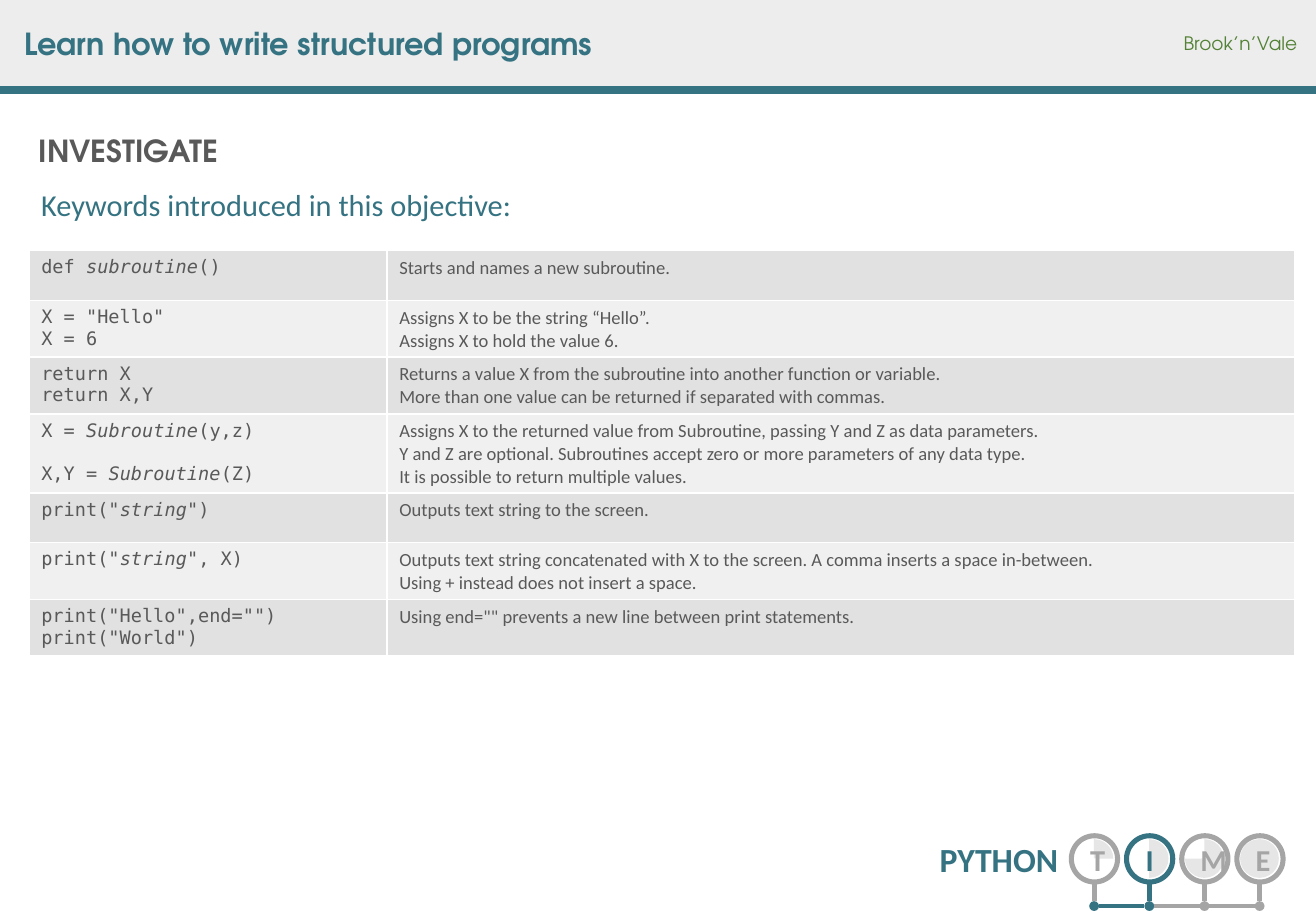
from dataclasses import dataclass

from lxml import etree
from pptx import Presentation
from pptx.dml.color import RGBColor
from pptx.enum.shapes import MSO_CONNECTOR, MSO_SHAPE
from pptx.enum.text import MSO_ANCHOR, MSO_AUTO_SIZE, PP_ALIGN
from pptx.oxml.ns import qn
from pptx.util import Pt

RECT, OVAL, PIE = MSO_SHAPE.RECTANGLE, MSO_SHAPE.OVAL, MSO_SHAPE.PIE
LINE = MSO_CONNECTOR.STRAIGHT
LEFT, MID, RIGHT = PP_ALIGN.LEFT, PP_ALIGN.CENTER, PP_ALIGN.RIGHT
TOP, CENTRE, BOTTOM = MSO_ANCHOR.TOP, MSO_ANCHOR.MIDDLE, MSO_ANCHOR.BOTTOM
GROW = MSO_AUTO_SIZE.SHAPE_TO_FIT_TEXT


@dataclass(frozen=True)
class Theme:
    teal: str = "357382"
    green: str = "538135"
    dark: str = "595959"
    grey: str = "A5A5A5"
    pale: str = "E7E6E6"
    head: str = "EDEDED"
    white: str = "FFFFFF"
    bands: tuple = ("E1E1E1", "F0F0F0")
    brand: str = "TeX Gyre Adventor"
    body: str = "Calibri"
    code: str = "DejaVu Sans Mono"
    small: int = 11
    large: int = 18
    logo: int = 20


THEME = Theme()

# Code with *italic* parts, explanation, space above the second code line
WORDS = [
    ("def *subroutine*()", "Starts and names a new subroutine.", 0),
    ('X = "Hello"\nX = 6',
     "Assigns X to be the string “Hello”.\nAssigns X to hold the value 6.", 0),
    ("return X\nreturn X,Y",
     "Returns a value X from the subroutine into another function or variable.\n"
     "More than one value can be returned if separated with commas.", 0),
    ("X = *Subroutine*(y,z)\nX,Y = *Subroutine*(Z)",
     "Assigns X to the returned value from Subroutine, passing Y and Z as data parameters.\n"
     "Y and Z are optional. Subroutines accept zero or more parameters of any data type.\n"
     "It is possible to return multiple values.", 12.8),
    ('print("*string*")', "Outputs text string to the screen.", 0),
    ('print("*string*", X)',
     "Outputs text string concatenated with X to the screen. A comma inserts a space in-between.\n"
     "Using + instead does not insert a space.", 0),
    ('print("Hello",end="")\nprint("World")',
     'Using end="" prevents a new line between print statements.', 0),
]

# Letter, ring colour, dot colour, end angle of the pie (None for a full disc)
STEPS = [
    ("T", THEME.grey, THEME.teal, 0),
    ("I", THEME.teal, THEME.teal, 90),
    ("M", THEME.grey, THEME.grey, 180),
    ("E", THEME.grey, THEME.grey, None),
]


def rgb(hue):
    return RGBColor.from_string(hue)


def style(run, font, size, hue, bold=False, slant=False):
    face = run.font
    face.name, face.size = font, Pt(size)
    face.bold, face.italic = bold, slant
    face.color.rgb = rgb(hue)


def label(slide, box, text, font, size, hue, bold=False, align=LEFT,
          anchor=TOP, wrap=False, pitch=None):
    frame = slide.shapes.add_textbox(*map(Pt, box)).text_frame
    frame.text = text
    frame.word_wrap = wrap
    frame.auto_size = GROW
    frame.vertical_anchor = anchor
    para = frame.paragraphs[0]
    para.alignment = align
    if pitch:
        para.line_spacing = pitch
    style(para.runs[0], font, size, hue, bold)


def shape(slide, kind, box, fill=None, line=None, width=3):
    item = slide.shapes.add_shape(kind, *map(Pt, box))
    item.shadow.inherit = False
    if fill:
        item.fill.solid()
        item.fill.fore_color.rgb = rgb(fill)
    else:
        item.fill.background()
    if line:
        item.line.color.rgb = rgb(line)
        item.line.width = Pt(width)
    else:
        item.line.fill.background()
    return item


def rule(slide, start, end, hue, width):
    item = slide.shapes.add_connector(LINE, *map(Pt, start + end))
    item.line.color.rgb = rgb(hue)
    item.line.width = Pt(width)
    etree.SubElement(item._element.spPr, qn("a:effectLst"))


def border(cell):
    props = cell._tc.get_or_add_tcPr()
    for spot, side in enumerate(("lnL", "lnR", "lnT", "lnB")):
        edge = etree.Element(qn("a:" + side), w=str(Pt(1)))
        fill = etree.SubElement(edge, qn("a:solidFill"))
        etree.SubElement(fill, qn("a:srgbClr"), val=THEME.white)
        props.insert(spot, edge)


def fill_cell(cell, text, font, band, gap=0):
    cell.fill.solid()
    cell.fill.fore_color.rgb = rgb(band)
    border(cell)
    frame = cell.text_frame
    for row, line in enumerate(text.split("\n")):
        para = frame.add_paragraph() if row else frame.paragraphs[0]
        if row and gap:
            para.space_before = Pt(gap)
        for part, piece in enumerate(line.split("*")):
            run = para.add_run()
            run.text = piece
            style(run, font, THEME.small, THEME.dark, slant=part % 2 == 1)


def header(slide):
    shape(slide, RECT, (0, 0, 780, 53.3), THEME.head)
    rule(slide, (0, 53.3), (780, 53.3), THEME.teal, 4.5)
    label(slide, (7.2, 11.5, 355.7, 28.8), "Learn how to write structured programs",
          THEME.brand, THEME.large, THEME.teal, bold=True)
    label(slide, (688.3, 15.1, 87.8, 20.9), "Brook’n’Vale",
          THEME.brand, THEME.small, THEME.green, align=RIGHT)


def titles(slide):
    label(slide, (15.8, 74.9, 123.1, 28.8), "INVESTIGATE",
          THEME.brand, THEME.large, THEME.dark, bold=True)
    label(slide, (17.3, 109.4, 743, 29.5), "Keywords introduced in this objective:",
          THEME.body, THEME.large, THEME.teal, wrap=True, pitch=0.9)


def words(slide):
    box = (17.3, 148.5, 750.2, 206.5)
    grid = slide.shapes.add_table(len(WORDS), 2, *map(Pt, box)).table
    grid.first_row = grid.horz_banding = False
    grid.columns[0].width, grid.columns[1].width = Pt(212.2), Pt(538)
    for row, (code, note, gap) in enumerate(WORDS):
        grid.rows[row].height = Pt(29.5)
        band = THEME.bands[row % 2]
        fill_cell(grid.cell(row, 0), code, THEME.code, band, gap)
        fill_cell(grid.cell(row, 1), note, THEME.body, band)


def badge(slide):
    label(slide, (504.7, 493.2, 129.6, 31.7), "PYTHON", THEME.body, THEME.logo,
          THEME.teal, bold=True, align=RIGHT, anchor=BOTTOM, wrap=True)
    left, step, dot = 635, 32.7, 5.8
    for spot, (sign, hue, mark, angle) in enumerate(STEPS):
        x = left + spot * step
        mid = x + 13.5
        # Partly filled disc
        disc = shape(slide, OVAL if angle is None else PIE,
                     (x + 1.9, 497.4, 23, 23), THEME.pale)
        if angle is not None:
            disc.adjustments[0] = 270 * 0.6
            disc.adjustments[1] = angle * 0.6
        # Ring with its letter
        ring = shape(slide, OVAL, (x, 495.4, 27.4, 27.4), line=hue)
        frame = ring.text_frame
        frame.text = sign
        frame.vertical_anchor = CENTRE
        frame.paragraphs[0].alignment = MID
        style(frame.paragraphs[0].runs[0], THEME.body, THEME.large, hue, bold=True)
        # Stem, dot and rail to the next dot
        rule(slide, (mid, 522.7), (mid, 534.2), hue, 3)
        shape(slide, OVAL, (mid - dot / 2, 534.2, dot, dot), mark)
        if spot < len(STEPS) - 1:
            rule(slide, (mid + dot / 2, 537.1), (mid + step - dot / 2, 537.1),
                 THEME.grey if spot else THEME.teal, 2.25)


def main():
    deck = Presentation()
    deck.slide_width, deck.slide_height = Pt(780), Pt(540)
    slide = deck.slides.add_slide(deck.slide_layouts[6])
    header(slide)
    titles(slide)
    words(slide)
    badge(slide)
    deck.save("out.pptx")


if __name__ == "__main__":
    main()
